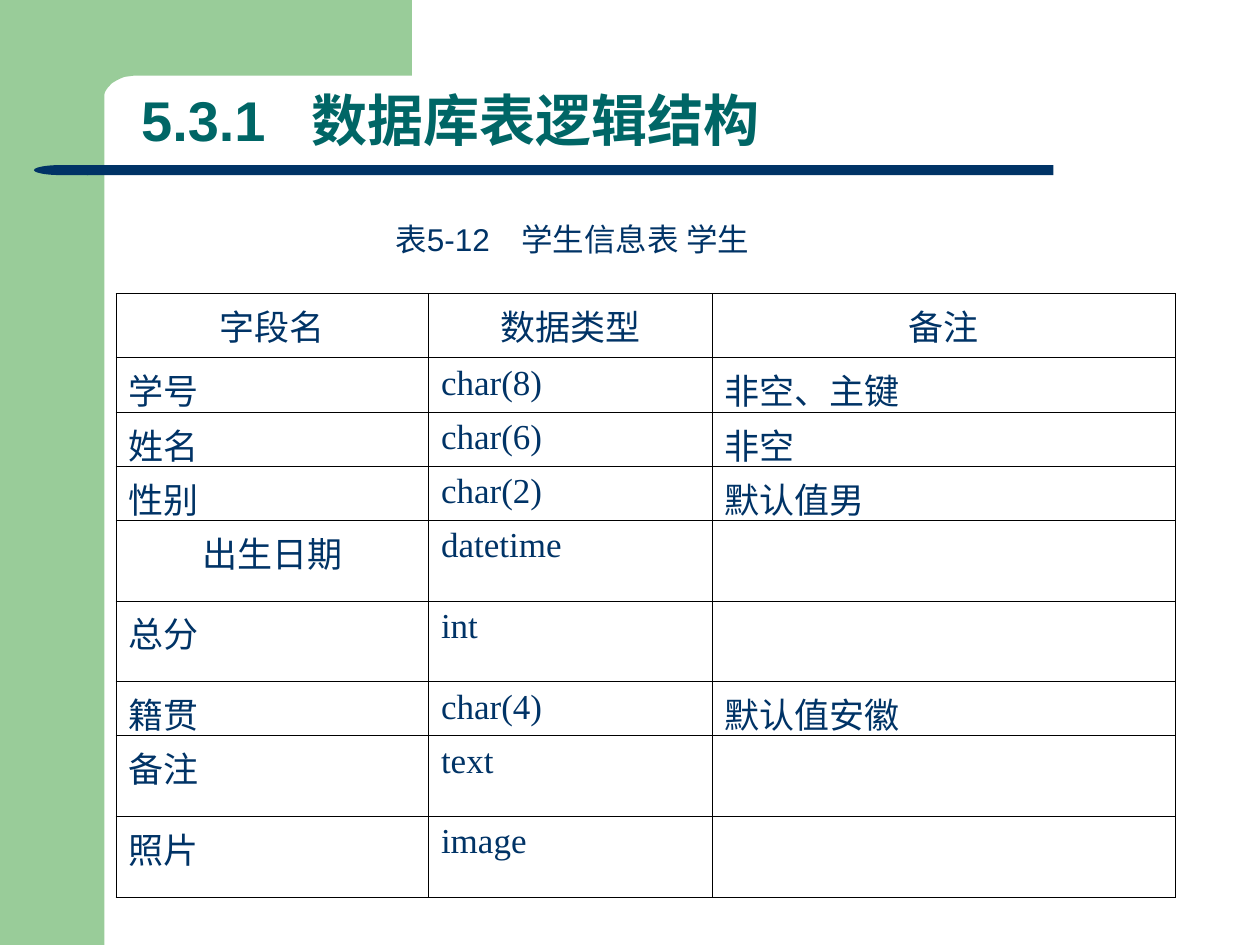
from lxml import etree
from pptx import Presentation, util as u
from pptx.dml.color import RGBColor
from pptx.enum import shapes, text
from pptx.oxml.ns import qn

COLORS = {"green": "99CC99", "navy": "003366", "teal": "006666", "black": "000000"}
TITLE = "5.3.1\t数据库表逻辑结构"
CAPTION = "表5-12\t学生信息表 学生"
HEADER = ("字段名", "数据类型", "备注")
FIELDS = [
    ("学号", "char(8)", "非空、主键"),
    ("姓名", "char(6)", "非空"),
    ("性别", "char(2)", "默认值男"),
    ("出生日期", "datetime", ""),
    ("总分", "int", ""),
    ("籍贯", "char(4)", "默认值安徽"),
    ("备注", "text", ""),
    ("照片", "image", ""),
]
CENTERED_FIELD = "出生日期"
COLUMN_WIDTHS = (2.48, 2.25, 3.68)
HEADER_HEIGHT, NOTED_HEIGHT, PLAIN_HEIGHT = 0.51, 0.43, 0.64
UNITS_PER_INCH = 1000
CORNER_CURVES = [
    ((0.99, 0.61), (0.96, 0.62), (0.92, 0.64), (0.89, 0.66)),
    ((0.89, 0.66), (0.87, 0.68), (0.84, 0.71), (0.83, 0.74)),
    ((0.83, 0.74), (0.82, 0.77), (0.81, 0.80), (0.81, 0.83)),
]


def color(name):
    return RGBColor.from_string(COLORS[name])


def paint(shape, name):
    shape.shadow.inherit = False
    shape.fill.solid()
    shape.fill.fore_color.rgb = color(name)
    shape.line.fill.background()


def add_block(page, kind, name, *place):
    block = page.shapes.add_shape(kind, *map(u.Inches, place))
    paint(block, name)
    return block


def add_span(para, words, size, font, name, bold=False):
    span = para.add_run()
    span.text = words
    span.font.size = u.Pt(size)
    span.font.name = font
    span.font.bold = bold
    span.font.color.rgb = color(name)


def add_tab(para, inches):
    stops = etree.SubElement(para._p.get_or_add_pPr(), qn("a:tabLst"))
    etree.SubElement(stops, qn("a:tab"), pos=str(u.Inches(inches)), algn="l")


def curve_points(curve, steps=6):
    for step in range(1, steps + 1):
        t = step / steps
        weights = ((1 - t) ** 3, 3 * t * (1 - t) ** 2, 3 * t * t * (1 - t), t ** 3)
        yield tuple(sum(w * point[axis] for w, point in zip(weights, curve)) for axis in (0, 1))


def add_frame(page):
    add_block(page, shapes.MSO_SHAPE.RECTANGLE, "green", 0, 0, 0.83, 7.5)
    corner = [point for curve in CORNER_CURVES for point in curve_points(curve)]
    outline = [(3.27, 0), (3.27, 0.6), (1.07, 0.6), (0.99, 0.61), *corner,
               (0.81, 0.91), (0.5, 0.91), (0.5, 0)]
    start, *rest = [(x * UNITS_PER_INCH, y * UNITS_PER_INCH) for x, y in outline]
    builder = page.shapes.build_freeform(*start, scale=u.Inches(1) / UNITS_PER_INCH)
    builder.add_line_segments(rest, close=True)
    paint(builder.convert_to_shape(), "green")
    bar = add_block(page, shapes.MSO_SHAPE.ROUNDED_RECTANGLE, "navy", 0.69, 1.31, 7.67, 0.08)
    bar.adjustments[0] = 0
    tip = add_block(page, shapes.MSO_SHAPE.FLOWCHART_DELAY, "navy", 0.27, 1.31, 0.43, 0.08)
    tip._element.spPr.get_or_add_xfrm().set("flipH", "1")


def add_headings(page):
    title = page.shapes.title
    title._element.getparent().append(title._element)
    title.left, title.top, title.width, title.height = map(u.Inches, (1.02, 0.72, 8.19, 0.55))
    title.text_frame.auto_size = text.MSO_AUTO_SIZE.NONE
    title.text_frame.vertical_anchor = text.MSO_ANCHOR.BOTTOM
    para = title.text_frame.paragraphs[0]
    para.alignment = text.PP_ALIGN.LEFT
    para.line_spacing = 0.9
    add_tab(para, 1.35)
    add_span(para, TITLE, 32, "Arial", "teal", True)

    caption = page.shapes.add_textbox(*map(u.Inches, (3.04, 1.7, 3.25, 0.4)))
    caption.text_frame.word_wrap = True
    caption.text_frame.vertical_anchor = text.MSO_ANCHOR.MIDDLE
    para = caption.text_frame.paragraphs[0]
    add_tab(para, 1)
    add_span(para, CAPTION, 18, "Arial", "navy")


def add_borders(cell):
    props = cell._tc.get_or_add_tcPr()
    for index, side in enumerate(("lnL", "lnR", "lnT", "lnB")):
        line = etree.Element(qn(f"a:{side}"), w=str(u.Pt(0.45)))
        fill = etree.SubElement(line, qn("a:solidFill"))
        etree.SubElement(fill, qn("a:srgbClr"), val=COLORS["black"])
        props.insert(index, line)


def add_field_table(page):
    rows = [HEADER, *FIELDS]
    heights = [HEADER_HEIGHT] + [NOTED_HEIGHT if note else PLAIN_HEIGHT for *_, note in FIELDS]
    size = sum(COLUMN_WIDTHS), sum(heights)
    frame = page.shapes.add_table(len(rows), len(HEADER), *map(u.Inches, (0.92, 2.33, *size)))
    table = frame.table
    table.first_row = table.horz_banding = False
    for column, width in zip(table.columns, COLUMN_WIDTHS):
        column.width = u.Inches(width)
    for r, (row, height) in enumerate(zip(rows, heights)):
        table.rows[r].height = u.Inches(height)
        for c, words in enumerate(row):
            cell = table.cell(r, c)
            cell.fill.background()
            cell.margin_bottom = 0
            add_borders(cell)
            if words:
                para = cell.text_frame.paragraphs[0]
                centered = r == 0 or words == CENTERED_FIELD
                para.alignment = text.PP_ALIGN.CENTER if centered else text.PP_ALIGN.LEFT
                add_span(para, words, 20, "Times New Roman" if r else "Arial", "navy")


def main():
    deck = Presentation()
    deck.slide_width, deck.slide_height = u.Inches(10), u.Inches(7.5)
    page = deck.slides.add_slide(deck.slide_layouts[5])
    add_frame(page)
    add_headings(page)
    add_field_table(page)
    deck.save("out.pptx")


if __name__ == "__main__":
    main()
